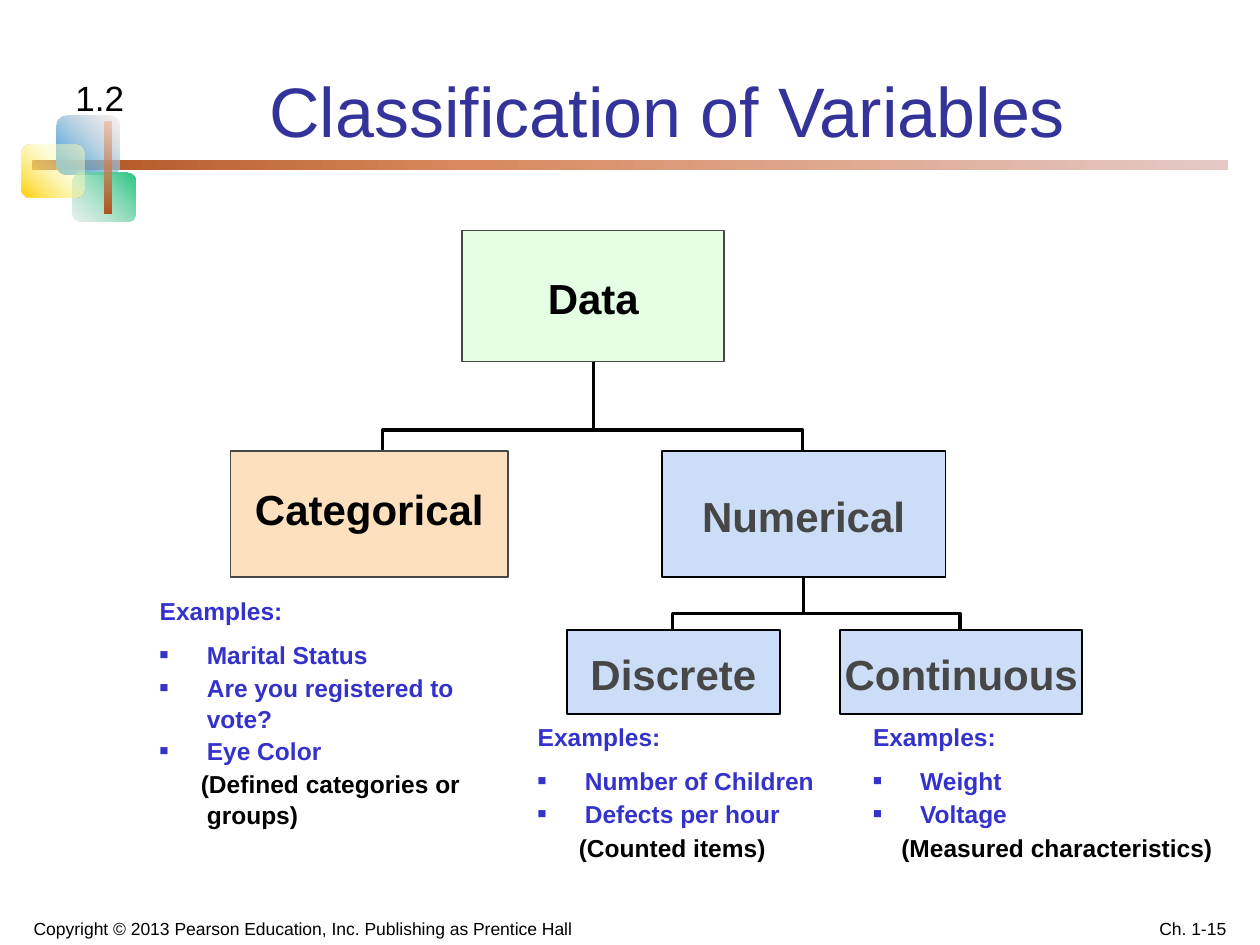
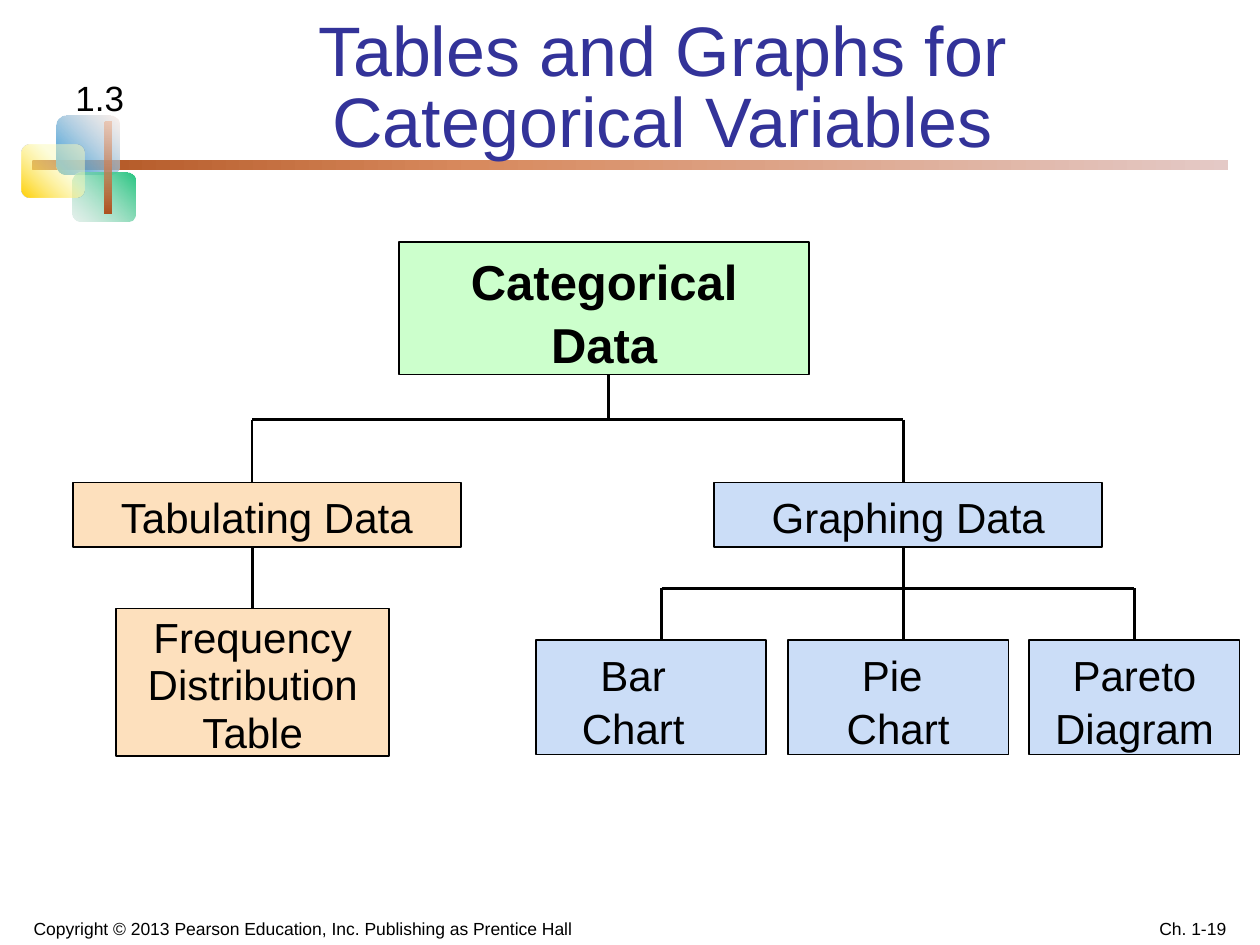
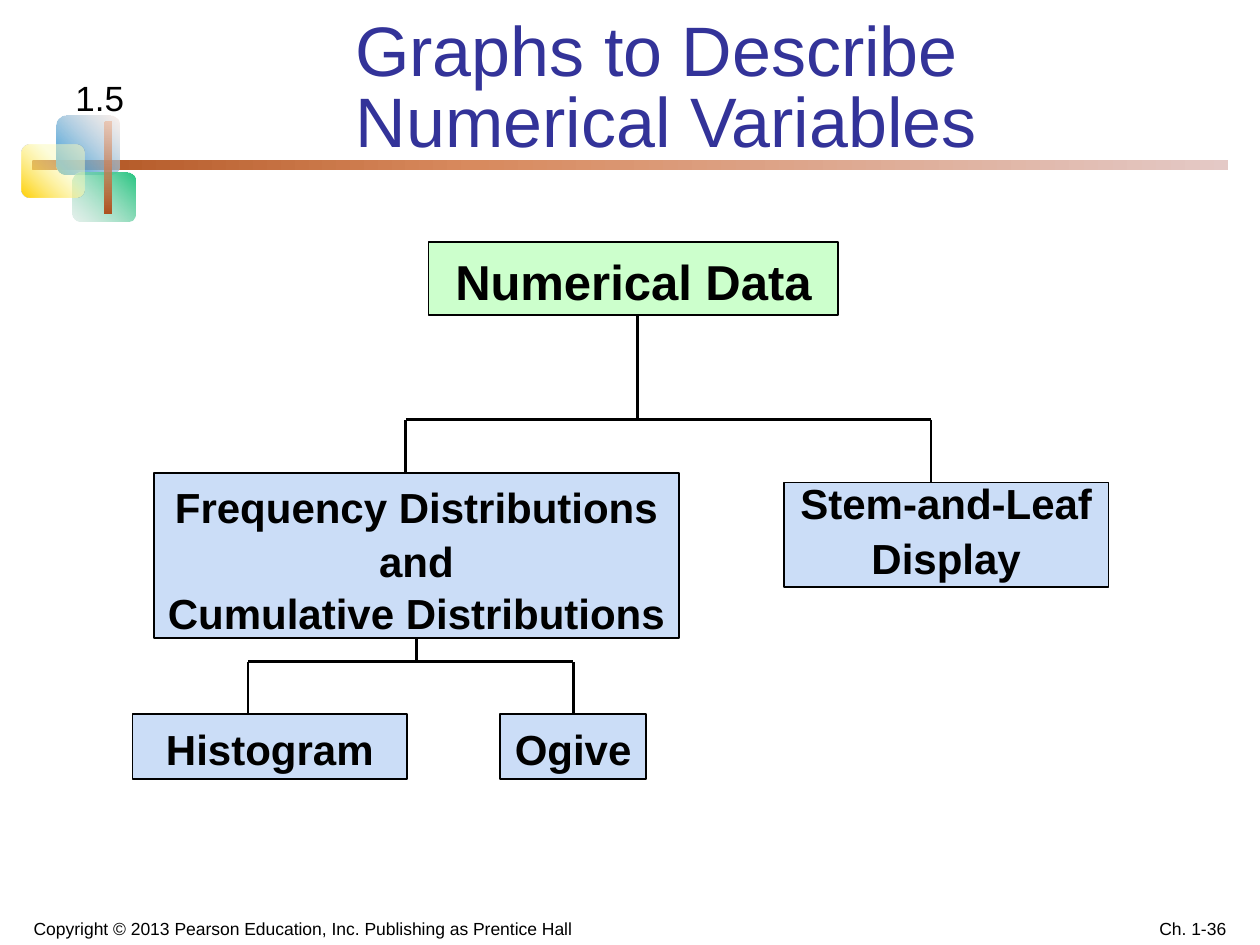
from lxml.etree import SubElement
from pptx import Presentation
from pptx.dml.color import RGBColor
from pptx.enum.shapes import MSO_CONNECTOR, MSO_SHAPE
from pptx.enum.text import MSO_ANCHOR, MSO_AUTO_SIZE, PP_ALIGN
from pptx.oxml.ns import qn
from pptx.util import Cm, Pt

BLACK, GREY, NAVY, BLUE = "000000", "474747", "333399", "3333CC"
GREEN, PEACH, SKY = "CCFFCC", "FDE0BD", "CBDDF7"
COPYRIGHT = "Copyright © 2013 Pearson Education, Inc. Publishing as Prentice Hall"
LINE_SPACING = 1.06
HANGING = 0.95
DECORATION = [
    ((0.64, 3.23, 24.13, 0.2), 0, [(0, "AE511E", 100), (37, "D88A5E", 100), (100, "E4C9C6", 100)]),
    ((1.14, 2.34, 1.27, 1.17), 315, [(0, "2895D8", 100), (100, "F7E2D9", 50)]),
    ((1.47, 3.48, 1.27, 0.99), 135, [(0, "25C580", 100), (100, "CCE2D9", 50)]),
    ((0.43, 2.92, 1.27, 1.07), 315, [(0, "FFCF01", 100), (63, "FCFCBC", 50)]),
    ((2.11, 2.46, 0.13, 1.85), 270, [(0, "AE511E", 100), (100, "EAA782", 50)]),
]


def color(value):
    return RGBColor.from_string(value)


def add_xml(parent, tag, **attributes):
    return SubElement(parent, qn(tag), {name: str(value) for name, value in attributes.items()})


def apply(target, settings):
    for name, value in settings.items():
        setattr(target, name, value)


class Deck:
    def __init__(self):
        self.presentation = Presentation()
        apply(self.presentation, {"slide_width": Cm(25.4), "slide_height": Cm(19.05)})
        self.layout = self.presentation.slide_layouts[5]
        self.slide = None

    def start(self, title, place, section, number, spacing=None):
        self.slide = self.presentation.slides.add_slide(self.layout)
        if len(self.presentation.slides) == 1:
            self.decorate_layout()
        heading = self.slide.shapes.title
        apply(heading, dict(zip(("left", "top", "width", "height"), map(Cm, place))))
        self.typeset(heading.text_frame, [(title, {"line_spacing": spacing})], size=40, ink=NAVY,
                     align=PP_ALIGN.CENTER, anchor=MSO_ANCHOR.BOTTOM)
        bottom = {"size": 10, "anchor": MSO_ANCHOR.BOTTOM}
        self.label((0.43, 18.16, 13.54, 0.89), [(COPYRIGHT, {})], **bottom)
        self.label((19.05, 18.16, 5.92, 0.89), [(number, {})], align=PP_ALIGN.RIGHT, **bottom)
        self.label((1.27, 1.42, 2.11, 1.12), [(section, {})], size=20)

    def decorate_layout(self):
        for depth, (place, angle, stops) in enumerate(DECORATION):
            tile = self.slide.shapes.add_shape(MSO_SHAPE.ROUNDED_RECTANGLE, *map(Cm, place))
            tile.shadow.inherit = False
            tile.line.fill.background()
            self.gradient(tile, angle, stops)
            self.layout.shapes._spTree.insert(2 + depth, tile._element)

    def gradient(self, shape, angle, stops):
        shape.fill.gradient()
        gradient = shape._element.spPr.find(qn("a:gradFill"))
        for child in list(gradient):
            gradient.remove(child)
        stop_list = add_xml(gradient, "a:gsLst")
        for position, tint, opacity in stops:
            stop = add_xml(stop_list, "a:gs", pos=position * 1000)
            add_xml(add_xml(stop, "a:srgbClr", val=tint), "a:alpha", val=opacity * 1000)
        add_xml(gradient, "a:lin", ang=angle * 60000, scaled=0)

    def typeset(self, frame, paragraphs, size, ink=BLACK, bold=False, align=PP_ALIGN.LEFT,
                anchor=MSO_ANCHOR.TOP, wrap=True, margins=None):
        apply(frame, {"word_wrap": wrap, "auto_size": MSO_AUTO_SIZE.NONE,
                      "vertical_anchor": anchor, **(margins or {})})
        for position, (text, settings) in enumerate(paragraphs):
            paragraph = frame.paragraphs[0] if position == 0 else frame.add_paragraph()
            settings = dict(settings)
            text_color = settings.pop("ink", ink)
            indent = settings.pop("indent", None)
            bullet = settings.pop("bullet", False)
            paragraph.text = text
            apply(paragraph, {"alignment": align, **settings})
            if indent is not None:
                properties = paragraph._p.get_or_add_pPr()
                properties.set("marL", str(Cm(HANGING)))
                properties.set("indent", str(Cm(indent - HANGING)))
                if bullet:
                    add_xml(add_xml(properties, "a:buClr"), "a:srgbClr", val=text_color)
                    add_xml(properties, "a:buSzPct", val=60000)
                    add_xml(properties, "a:buFont", typeface="Arial")
                    add_xml(properties, "a:buChar", char="■")
            for run in paragraph.runs:
                apply(run.font, {"name": "Arial", "size": Pt(size), "bold": bold})
                run.font.color.rgb = color(text_color)

    def label(self, place, paragraphs, **style):
        caption = self.slide.shapes.add_textbox(*map(Cm, place))
        self.typeset(caption.text_frame, paragraphs, **style)

    def box(self, text, place, fill, edge=BLACK, opacity=None, size=24, **style):
        node = self.slide.shapes.add_shape(MSO_SHAPE.RECTANGLE, *map(Cm, place))
        node.shadow.inherit = False
        node.fill.solid()
        node.fill.fore_color.rgb = color(fill)
        if opacity:
            tint = node._element.spPr.find(qn("a:solidFill")).find(qn("a:srgbClr"))
            add_xml(tint, "a:alpha", val=opacity * 1000)
        node.line.color.rgb = color(edge)
        node.line.width = Pt(1)
        paragraphs = [(text, {"line_spacing": LINE_SPACING})] if isinstance(text, str) else text
        self.typeset(node.text_frame, paragraphs, size=size, align=PP_ALIGN.CENTER, **style)
        return node

    def connector(self, kind, points, width):
        link = self.slide.shapes.add_connector(kind, *points)
        link.line.color.rgb = color(BLACK)
        link.line.width = Pt(width)
        add_xml(link._element.spPr, "a:effectLst")
        return link

    def line(self, *points):
        return self.connector(MSO_CONNECTOR.STRAIGHT, map(Cm, points), 1.5)

    def stem(self, node, level):
        middle = node.left + node.width // 2
        above = Cm(level) < node.top
        edge = node.top if above else node.top + node.height
        link = self.connector(MSO_CONNECTOR.STRAIGHT, (middle, edge, middle, Cm(level)), 1.5)
        link.begin_connect(node, 0 if above else 2)

    def elbow(self, parent, child, level, width):
        (x1, y1), (x2, y2) = parent, child
        x, y, run, drop = (x1 + x2) / 2, (y1 + y2) / 2, x2 - x1, y2 - y1
        points = (x - drop / 2, y + run / 2, x + drop / 2, y - run / 2)
        link = self.connector(MSO_CONNECTOR.ELBOW, map(Cm, points), width)
        properties = link._element.spPr
        properties.find(qn("a:xfrm")).set("rot", "5400000")
        geometry = properties.find(qn("a:prstGeom"))
        for adjustments in list(geometry):
            geometry.remove(adjustments)
        bend = round((level - y1) / drop * 100000)
        add_xml(add_xml(geometry, "a:avLst"), "a:gd", name="adj1", fmla=f"val {bend}")

    def examples(self, place, items, note, note_indent=0.83):
        paragraphs = [("Examples:", {"indent": 0})]
        for item, space in zip(items, (7, 1.4, 0)):
            paragraphs.append((item, {"indent": 0, "bullet": True, "space_before": Pt(space)}))
        paragraphs.append((note, {"indent": note_indent, "ink": BLACK, "space_before": Pt(1.4)}))
        paragraphs = [(text, {"line_spacing": LINE_SPACING, **settings})
                      for text, settings in paragraphs]
        self.label(place, paragraphs, size=14, ink=BLUE, bold=True)


def classification(deck):
    deck.start("Classification of Variables", (3.2, 0.84, 20.5, 2.34), "1.2", "Ch. 1-15")
    data_bottom, numerical_bottom = (11.96, 7.29), (16.2, 11.63)
    for child in ((7.72, 9.09), (16.18, 9.09)):
        deck.elbow(data_bottom, child, 8.67, 1.75)
    for child in ((13.56, 12.7), (19.35, 12.7)):
        deck.elbow(numerical_bottom, child, 12.37, 2)
    style = {"bold": True, "wrap": False, "anchor": MSO_ANCHOR.MIDDLE}
    deck.box("Data", (9.32, 4.65, 5.28, 2.64), GREEN, edge=GREY, opacity=50, **style)
    deck.box("Categorical", (4.65, 9.09, 5.59, 2.54), PEACH, edge=GREY,
             margins={"margin_bottom": Cm(0.4)}, **style)
    for text, place in (("Numerical", (13.34, 9.09, 5.72, 2.54)),
                        ("Discrete", (11.43, 12.7, 4.29, 1.7)),
                        ("Continuous", (16.94, 12.7, 4.88, 1.7))):
        deck.box(text, place, SKY, ink=GREY, **style)
    deck.examples((2.97, 11.86, 6.99, 4.78),
                  ["Marital Status", "Are you registered to vote?", "Eye Color"],
                  "(Defined categories or groups)")
    deck.examples((10.59, 14.4, 6.35, 3.02), ["Number of Children", "Defects per hour"],
                  "(Counted items)")
    deck.examples((17.35, 14.4, 7.62, 3.02), ["Weight", "Voltage"],
                  "(Measured characteristics)", 0.57)


def categorical(deck):
    deck.start("Tables and Graphs for Categorical Variables", (3.61, 0.64, 19.48, 2.74),
               "1.3", "Ch. 1-19", 0.84)
    deck.box("Categorical Data", (8.05, 4.88, 8.26, 2.67), GREEN, size=28, bold=True)
    deck.box("Tabulating Data", (1.47, 9.73, 7.82, 1.3), PEACH)
    deck.box("Graphing Data", (14.4, 9.73, 7.82, 1.3), SKY)
    frequency = deck.box([("Frequency Distribution Table", {"line_spacing": 0.95})],
                         (2.34, 12.27, 5.51, 2.97), PEACH)
    deck.box("Bar\nChart", (10.8, 12.9, 4.65, 2.31), SKY, margins={"margin_right": Cm(0.97)})
    deck.box("Pie \nChart", (15.88, 12.9, 4.45, 2.31), SKY)
    pareto = deck.box("Pareto Diagram", (20.75, 12.9, 4.24, 2.31), SKY)
    deck.line(12.27, 7.55, 12.27, 8.46)
    deck.line(5.08, 8.46, 18.21, 8.46)
    for x in (5.08, 18.21):
        deck.line(x, 8.46, x, 9.73)
    deck.line(18.21, 11.03, 18.21, 12.9)
    deck.line(13.34, 11.86, 22.86, 11.86)
    deck.line(13.34, 11.86, 13.34, 12.9)
    deck.stem(pareto, 11.86)
    deck.stem(frequency, 11.03)


def numerical(deck):
    deck.start("Graphs to Describe \nNumerical Variables", (3.18, 0.64, 20.5, 2.74),
               "1.5", "Ch. 1-36", 0.84)
    deck.box("Numerical Data", (8.64, 4.88, 8.26, 1.47), GREEN, size=28, bold=True)
    distributions = deck.box(
        [("Frequency Distributions and", {"line_spacing": LINE_SPACING}),
         ("Cumulative Distributions", {"line_spacing": 0.53, "space_before": Pt(13)})],
        (3.1, 9.53, 10.59, 3.33), SKY, bold=True)
    deck.box([("Stem-and-Leaf", {"line_spacing": 0.75}),
              ("Display", {"line_spacing": 0.63, "space_before": Pt(13)})],
             (15.8, 9.73, 6.55, 2.11), SKY, bold=True)
    deck.box("Histogram", (2.67, 14.4, 5.54, 1.3), SKY, bold=True)
    ogive = deck.box("Ogive", (10.08, 14.4, 2.95, 1.3), SKY, bold=True)
    deck.line(12.85, 6.35, 12.85, 8.46)
    deck.line(8.18, 8.46, 18.77, 8.46)
    deck.line(8.18, 8.46, 8.18, 9.53)
    deck.line(18.77, 8.46, 18.77, 9.73)
    deck.stem(distributions, 13.34)
    deck.line(5, 13.34, 11.56, 13.34)
    deck.line(5, 13.34, 5, 14.4)
    deck.stem(ogive, 13.34)


def main():
    deck = Deck()
    classification(deck)
    categorical(deck)
    numerical(deck)
    deck.presentation.save("out.pptx")


if __name__ == "__main__":
    main()
